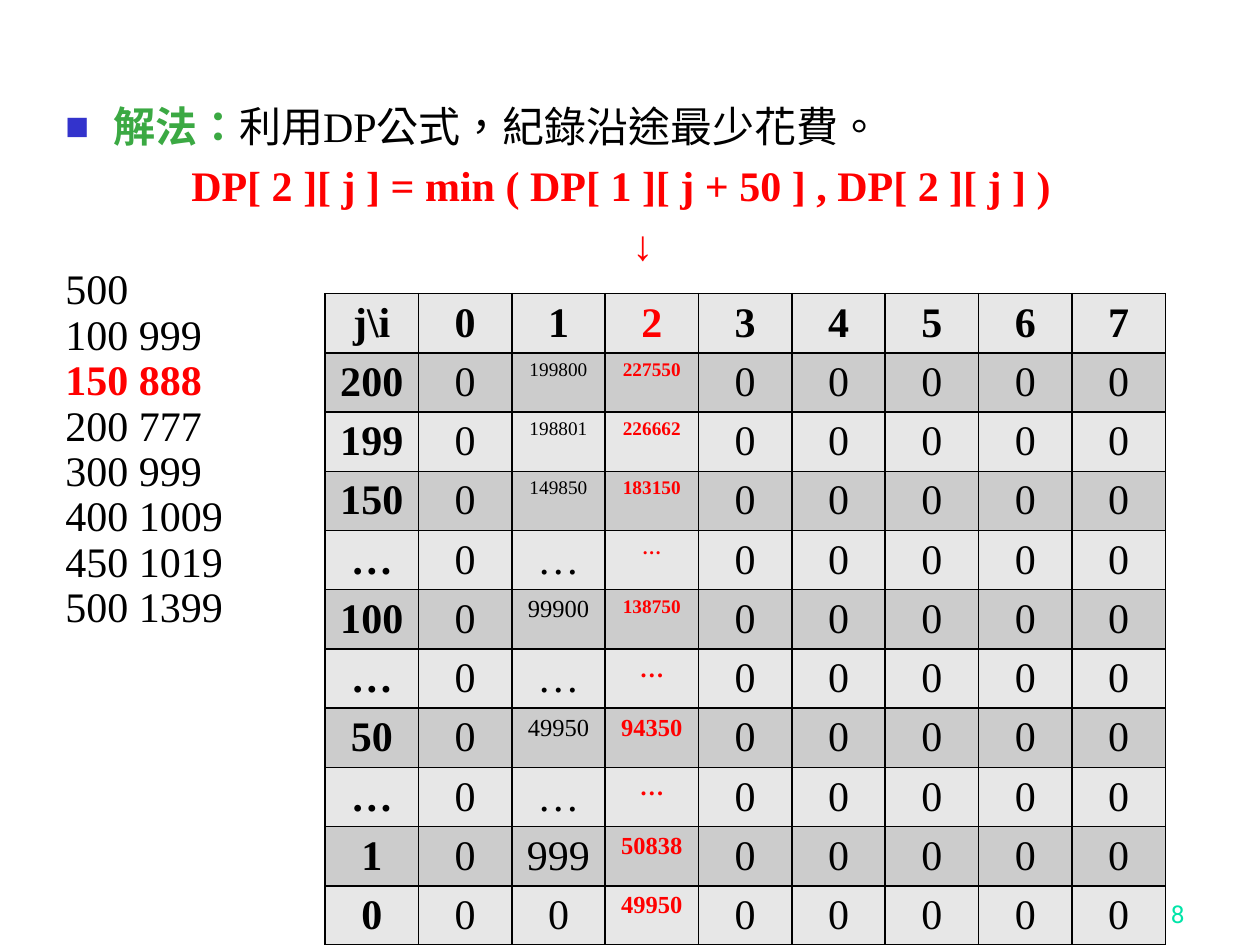
import dataclasses

import pptx
import pptx.dml.color
import pptx.enum.text
import pptx.oxml
import pptx.oxml.ns
import pptx.util

Inches = pptx.util.Inches
Pt = pptx.util.Pt
ALIGN = pptx.enum.text.PP_ALIGN
ANCHOR = pptx.enum.text.MSO_ANCHOR
DRAWING = pptx.oxml.ns.nsdecls("a")


@dataclasses.dataclass(frozen=True)
class Theme:
    serif: str = "Times New Roman"
    sans: str = "Roboto"
    language: str = "zh-TW"
    ink: str = "000000"
    accent: str = "FF0000"
    heading: str = "3BA943"
    bullet: str = "3333CC"
    page_number: str = "00E4A8"
    light_row: str = "E7E7E7"
    dark_row: str = "CCCCCC"
    body: int = 24
    small: int = 14
    tiny: int = 11


def color(value):
    return pptx.dml.color.RGBColor.from_string(value)


class SlideBuilder:
    def __init__(self, page, theme):
        self.page = page
        self.theme = theme

    def box(self, left, top, width, height, anchor=ANCHOR.TOP):
        shape = self.page.shapes.add_textbox(
            Inches(left), Inches(top), Inches(width), Inches(height))
        frame = shape.text_frame
        frame.word_wrap = True
        frame.vertical_anchor = anchor
        return frame

    def span(self, para, text, ink=None, size=None, bold=False, font=None):
        span = para.add_run()
        span.text = text
        span.font.size = Pt(size or self.theme.body)
        span.font.bold = bold
        span.font.color.rgb = color(ink or self.theme.ink)
        span.font.name = font or self.theme.serif
        properties = span.font._element
        properties.set("lang", self.theme.language)
        properties.append(pptx.oxml.parse_xml(
            f'<a:ea {DRAWING} typeface="{self.theme.sans}"/>'))

    def para(self, frame, before=0, spacing=None, indent=0):
        first = not frame.paragraphs[0].runs
        para = frame.paragraphs[0] if first else frame.add_paragraph()
        para.space_before = Pt(before)
        if spacing:
            para.line_spacing = spacing
        if indent:
            para._p.get_or_add_pPr().set("marL", str(Inches(indent)))
        return para

    def bullet(self, para, indent):
        properties = para._p.get_or_add_pPr()
        properties.set("marL", str(Inches(indent)))
        properties.set("indent", str(-Inches(indent)))
        for xml in (
            f'<a:buClr {DRAWING}><a:srgbClr val="{self.theme.bullet}"/></a:buClr>',
            f'<a:buSzPct {DRAWING} val="60000"/>',
            f'<a:buFont {DRAWING} typeface="{self.theme.sans}"/>',
            f'<a:buChar {DRAWING} char="■"/>',
        ):
            properties.append(pptx.oxml.parse_xml(xml))

    def borders(self, cell):
        properties = cell._tc.get_or_add_tcPr()
        for side in ("lnL", "lnR", "lnT", "lnB"):
            properties.append(pptx.oxml.parse_xml(
                f'<a:{side} {DRAWING} w="{Pt(1)}"><a:solidFill>'
                f'<a:srgbClr val="{self.theme.ink}"/></a:solidFill></a:{side}>'))

    def cell(self, cell, text, fill, **style):
        self.borders(cell)
        cell.fill.solid()
        cell.fill.fore_color.rgb = color(fill)
        cell.margin_bottom = Inches(0.02)
        para = cell.text_frame.paragraphs[0]
        para.alignment = ALIGN.CENTER
        self.span(para, text, **style)

    def cost_table(self, rows, columns, current, left, top, width, height):
        """Draw the DP table; each row is a label and two (cost, size) pairs."""
        theme = self.theme
        table = self.page.shapes.add_table(
            len(rows) + 1, columns + 1, Inches(left), Inches(top),
            Inches(width), Inches(height)).table
        header = [("j\\i", theme.body)]
        header += [(str(item), theme.body) for item in range(columns)]
        zero = ("0", theme.body)
        grid = [header]
        for label, *costs in rows:
            padding = [zero] * (columns - 1 - len(costs))
            grid.append([(label, theme.body), zero, *costs, *padding])
        for row, entries in enumerate(grid):
            fill = theme.dark_row if row % 2 else theme.light_row
            for column, (text, size) in enumerate(entries):
                active = column == current + 1
                self.cell(table.cell(row, column), text, fill, size=size,
                          ink=theme.accent if active else theme.ink,
                          bold=row == 0 or column == 0 or active)


def main():
    theme = Theme()
    deck = pptx.Presentation()
    deck.slide_width, deck.slide_height = Inches(10), Inches(7.5)
    slide = SlideBuilder(deck.slides.add_slide(deck.slide_layouts[6]), theme)

    number = slide.box(7.42, 6.92, 2.08, 0.5, ANCHOR.BOTTOM)
    para = slide.para(number)
    para.alignment = ALIGN.RIGHT
    slide.span(para, "18", theme.page_number, theme.small, font=theme.sans)

    body = slide.box(0.42, 0.75, 8.83, 6.15)
    para = slide.para(body)
    slide.bullet(para, 0.38)
    slide.span(para, "解法：", theme.heading, bold=True)
    slide.span(para, "利用DP公式，紀錄沿途最少花費。")
    formula = slide.para(body, before=4.8, indent=1)
    slide.span(formula, "DP[ 2 ][ j ] = min ( DP[ 1 ][ j + 50 ] , DP[ 2 ][ j ] )",
               theme.accent, bold=True)
    arrow = slide.para(body, before=4.8, indent=4.5)
    slide.span(arrow, "↓", theme.accent, bold=True)

    current_item = 2
    input_lines = ("500", "100 999", "150 888", "200 777", "300 999",
                   "400 1009", "450 1019", "500 1399")
    for item, line in enumerate(input_lines):
        active = item == current_item
        slide.span(slide.para(body, spacing=0.9), line,
                   theme.accent if active else theme.ink, bold=active)

    large, small, tiny = theme.body, theme.small, theme.tiny
    costs = (
        ("200", ("199800", tiny), ("227550", tiny)),
        ("199", ("198801", tiny), ("226662", tiny)),
        ("150", ("149850", tiny), ("183150", tiny)),
        ("…", ("…", large), ("…", tiny)),
        ("100", ("99900", small), ("138750", tiny)),
        ("…", ("…", large), ("…", small)),
        ("50", ("49950", small), ("94350", small)),
        ("…", ("…", large), ("…", small)),
        ("1", ("999", large), ("50838", small)),
        ("0", ("0", large), ("49950", small)),
    )
    slide.cost_table(costs, len(input_lines), current_item, 2.58, 2.33, 6.67, 4.46)
    deck.save("out.pptx")


if __name__ == "__main__":
    main()
